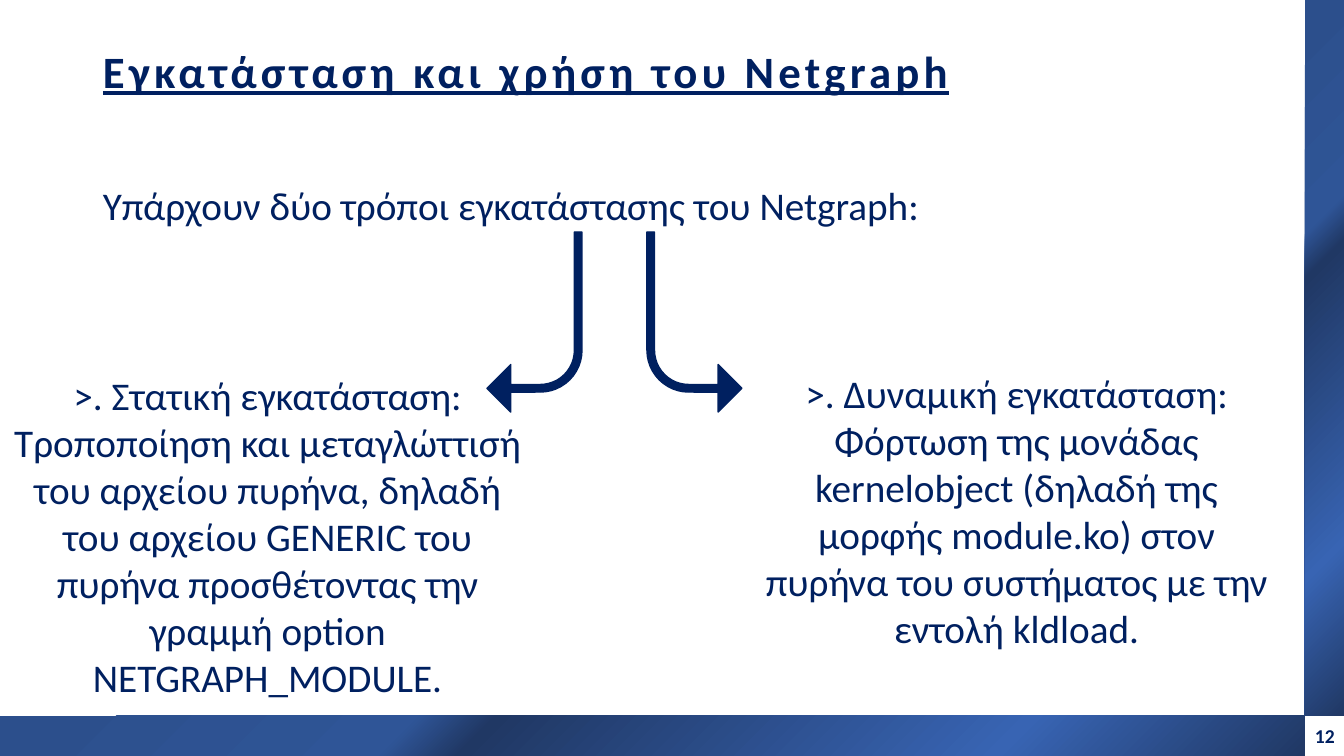
from lxml.etree import SubElement
from pptx import Presentation
from pptx.dml.color import RGBColor
from pptx.enum.shapes import MSO_SHAPE as Shape
from pptx.enum.text import MSO_ANCHOR as Anchor, PP_ALIGN as Align
from pptx.oxml.ns import qn
from pptx.util import Emu, Pt

PX = 914400 / 100.8
SLIDE_W, SLIDE_H = 1344, 756
FONT = "Calibri"
NAVY = RGBColor(0x00, 0x20, 0x60)
WHITE = RGBColor(0xFF, 0xFF, 0xFF)
BAND_STOPS = [
    (0, RGBColor(0x20, 0x38, 0x64)),
    (23, RGBColor(0x38, 0x64, 0xB3)),
    (63, RGBColor(0x20, 0x38, 0x64)),
    (69, RGBColor(0x2F, 0x55, 0x97)),
    (97, RGBColor(0x2C, 0x4F, 0x8C)),
]

TITLE = "Eγκατάσταση και χρήση του Netgraph"
INTRO = "Υπάρχουν δύο τρόποι εγκατάστασης του Netgraph:"
PAGE_NUMBER = "12"
# text, text box, left edge of its arrow, arrow mirrored
METHODS = [
    (">. Στατική εγκατάσταση: Τροποποίηση και μεταγλώττισή του αρχείου πυρήνα, "
     "δηλαδή του αρχείου GENERIC του πυρήνα προσθέτοντας την γραμμή option "
     "NETGRAPH_MODULE.", (0, 366, 535, 344), 487, False),
    (">. Δυναμική εγκατάσταση: Φόρτωση της μονάδας kernelobject (δηλαδή της "
     "μορφής module.ko) στον πυρήνα του συστήματος με την εντολή kldload.",
     (749, 364, 535, 296), 647, True),
]
BAND = 40
BAND_BOXES = [
    (0, SLIDE_H - BAND, SLIDE_W - BAND + 1, BAND),
    (SLIDE_W - BAND + 1, 0, BAND - 1, SLIDE_H - BAND),
]
ARROW_TOP, ARROW_W, ARROW_H = 232, 95, 180
ARROW_ADJUSTMENTS = (0.08, 0.25, 0.25, 0.44)


def emu(box):
    return [Emu(round(length * PX)) for length in box]


def add_text(slide, text, box, size, align=Align.LEFT, anchor=Anchor.TOP, bold=False):
    frame = slide.shapes.add_textbox(*emu(box)).text_frame
    frame.word_wrap = True
    frame.vertical_anchor = anchor
    paragraph = frame.paragraphs[0]
    paragraph.alignment = align
    run = paragraph.add_run()
    run.text = text
    run.font.name = FONT
    run.font.size = Pt(size)
    run.font.bold = bold
    run.font.color.rgb = NAVY
    return paragraph, run


def add_band(slide, box):
    """Add an edge strip whose gradient spreads from its bottom right corner."""
    band = slide.shapes.add_shape(Shape.RECTANGLE, *emu(box))
    band.shadow.inherit = False
    band.line.fill.background()
    band.fill.gradient()
    gradient = band._element.spPr.find(qn("a:gradFill"))
    for child in list(gradient):
        gradient.remove(child)
    stops = SubElement(gradient, qn("a:gsLst"))
    for percent, color in BAND_STOPS:
        stop = SubElement(stops, qn("a:gs"), pos=str(percent * 1000))
        SubElement(stop, qn("a:srgbClr"), val=str(color))
    spread = SubElement(gradient, qn("a:path"), path="circle")
    SubElement(spread, qn("a:fillToRect"), l="100000", t="100000")
    SubElement(gradient, qn("a:tileRect"), r="-100000", b="-100000")


def add_arrow(slide, left, mirrored):
    arrow = slide.shapes.add_shape(
        Shape.BENT_ARROW, *emu((left, ARROW_TOP, ARROW_W, ARROW_H)))
    arrow.shadow.inherit = False
    arrow.rotation = 180
    for index, value in enumerate(ARROW_ADJUSTMENTS):
        arrow.adjustments[index] = value
    arrow.fill.solid()
    arrow.fill.fore_color.rgb = NAVY
    arrow.line.color.rgb = NAVY
    arrow.line.width = Pt(1)
    if mirrored:
        arrow._element.spPr.find(qn("a:xfrm")).set("flipH", "1")


def main():
    deck = Presentation()
    deck.slide_width, deck.slide_height = emu((SLIDE_W, SLIDE_H))
    slide = deck.slides.add_slide(deck.slide_layouts[6])
    slide.background.fill.solid()
    slide.background.fill.fore_color.rgb = WHITE

    heading, heading_run = add_text(
        slide, TITLE, (93, 46, 1159, 23), 32, anchor=Anchor.MIDDLE, bold=True)
    heading.line_spacing = 1.5
    heading_run.font.underline = True
    heading_run.font._element.set("spc", "300")
    add_text(slide, INTRO, (93, 176, 1159, 58), 28)

    for box in BAND_BOXES:
        add_band(slide, box)
    add_text(slide, PAGE_NUMBER, (1305, 719, 53, 34), 14, bold=True)

    for text, box, arrow_left, mirrored in METHODS:
        add_arrow(slide, arrow_left, mirrored)
        add_text(slide, text, box, 28, align=Align.CENTER)

    deck.save("out.pptx")


if __name__ == "__main__":
    main()
